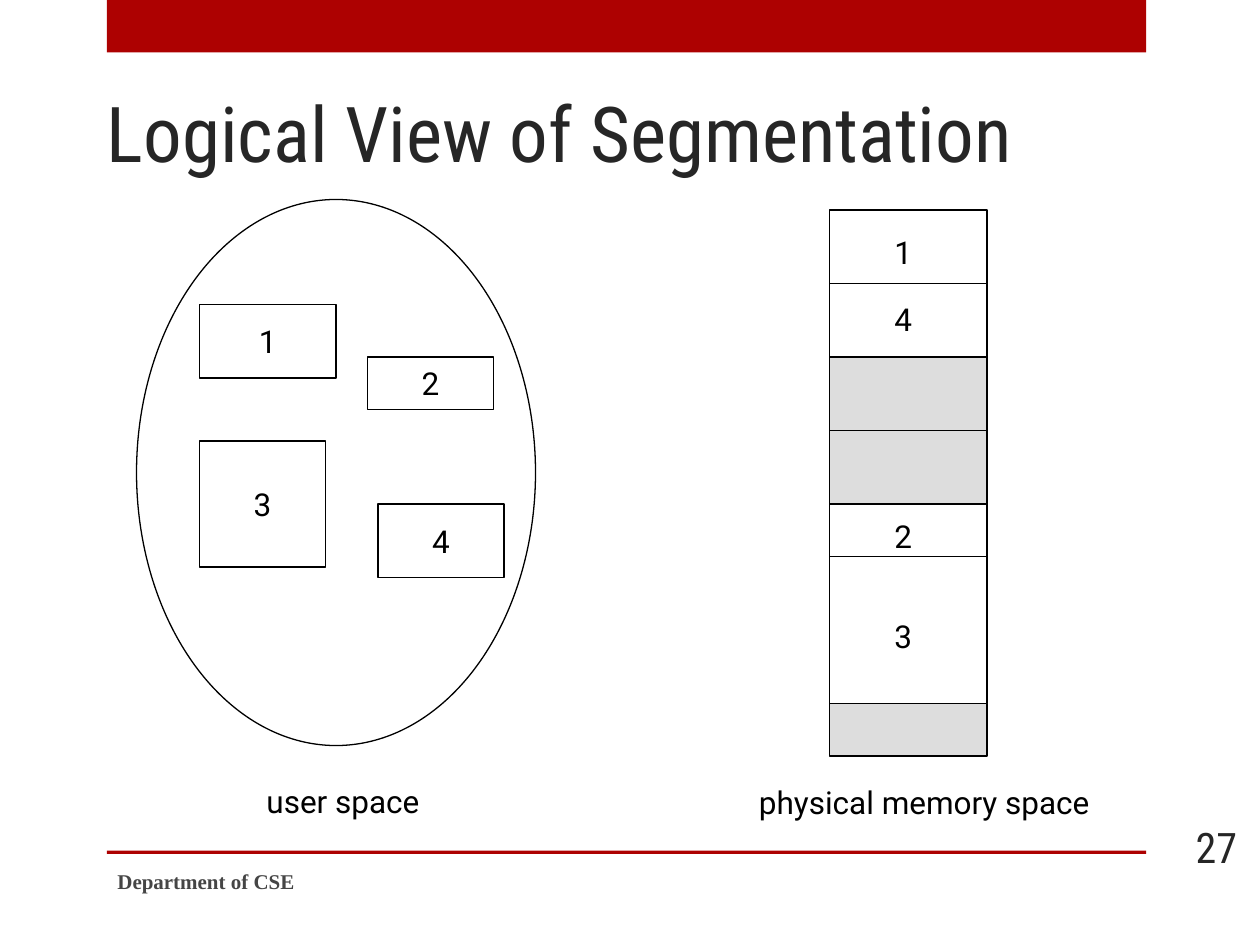
import pptx
import pptx.dml.color
import pptx.enum.shapes
import pptx.enum.text
import pptx.oxml
import pptx.util

Pt = pptx.util.Pt
SHAPE = pptx.enum.shapes.MSO_SHAPE
ANCHOR = pptx.enum.text.MSO_ANCHOR
ALIGN = pptx.enum.text.PP_ALIGN

RED, BLACK, WHITE, FREE, DARK, GREY = "AD0101", "000000", "FFFFFF", "DDDDDD", "262626", "454545"
BODY, HEADING, FOOTER = "Roboto", "Roboto Condensed", "Times New Roman"

# left, top, width, height
BARS = [(61, 0, 594, 30), (61, 486, 594, 2)]
USER_SPACE = (78, 114, 228, 312)
SEGMENTS = [
    ("2", (210, 204, 72, 30)),
    ("1", (114, 174, 78, 42)),
    ("3", (114, 252, 72, 72)),
    ("4", (216, 288, 72, 42)),
]

MEMORY_LEFT, MEMORY_TOP, MEMORY_WIDTH = 474, 120, 90
# height, colour, distance from block top to its divider (None for no divider)
MEMORY_BLOCKS = [(84, WHITE, 42), (84, FREE, 42), (114, WHITE, 30), (30, FREE, None)]
MEMORY_LABELS = [("1", 144), ("4", 182), ("2", 306), ("3", 363.5)]
MEMORY_LABEL_CENTER = 516

CAPTIONS = [("physical memory space", (426, 444, 204.5, 29)), ("user space ", (144, 443.5, 108.5, 29))]


def color(value):
    return pptx.dml.color.RGBColor.from_string(value)


def add_block(page, kind, bounds, fill, outline=BLACK):
    shape = page.shapes.add_shape(kind, *map(Pt, bounds))
    shape.shadow.inherit = False
    shape.fill.solid()
    shape.fill.fore_color.rgb = color(fill)
    if outline:
        shape.line.color.rgb = color(outline)
        shape.line.width = Pt(0.75)
    else:
        shape.line.fill.background()
    return shape


def write(shape, text, size=18, font=BODY, ink=BLACK, align=ALIGN.CENTER,
          anchor=ANCHOR.MIDDLE, wrap=False, bold=False):
    frame = shape.text_frame
    frame.word_wrap = wrap
    frame.vertical_anchor = anchor
    para = frame.paragraphs[0]
    para.alignment = align
    span = para.add_run()
    span.text = text
    span.font.size = Pt(size)
    span.font.name = font
    span.font.bold = bold
    span.font.color.rgb = color(ink)


def add_text(page, bounds, text, **style):
    write(page.shapes.add_textbox(*map(Pt, bounds)), text, **style)


def add_divider(page, block, y, joined):
    """Draw a line across a memory block, joined to its sides when at mid-height."""
    right = MEMORY_LEFT + MEMORY_WIDTH
    line = page.shapes.add_connector(
        pptx.enum.shapes.MSO_CONNECTOR.STRAIGHT, Pt(MEMORY_LEFT), Pt(y), Pt(right), Pt(y))
    line.line.color.rgb = color(BLACK)
    line.line.width = Pt(0.75)
    properties = line._element.spPr
    properties.append(pptx.oxml.parse_xml(
        '<a:effectLst xmlns:a="http://schemas.openxmlformats.org/drawingml/2006/main"/>'))
    if joined:
        line.begin_connect(block, 1)
        line.end_connect(block, 3)


def add_memory(page):
    top = MEMORY_TOP
    for height, fill, divider in MEMORY_BLOCKS:
        block = add_block(page, SHAPE.RECTANGLE, (MEMORY_LEFT, top, MEMORY_WIDTH, height), fill)
        if divider:
            add_divider(page, block, top + divider, divider * 2 == height)
        top += height
    width, height = 24, 29
    for text, middle in MEMORY_LABELS:
        add_text(page, (MEMORY_LABEL_CENTER - width / 2, middle - height / 2, width, height), text)


def main():
    deck = pptx.Presentation()
    deck.slide_width, deck.slide_height = Pt(720), Pt(540)
    page = deck.slides.add_slide(deck.slide_layouts[6])

    for bounds in BARS:
        add_block(page, SHAPE.RECTANGLE, bounds, RED, outline=None)
    add_block(page, SHAPE.OVAL, USER_SPACE, WHITE)
    add_text(page, (54, 48, 612, 57), "Logical View of Segmentation", size=44, font=HEADING,
             ink=DARK, align=ALIGN.LEFT, anchor=ANCHOR.BOTTOM, wrap=True)
    add_text(page, (654, 469.5, 60, 29), "27", size=24, font=HEADING, ink=DARK,
             align=ALIGN.RIGHT, wrap=True)
    add_text(page, (60, 489, 384, 29), "Department of CSE", size=12, font=FOOTER, ink=GREY,
             align=ALIGN.LEFT, wrap=True, bold=True)
    for text, bounds in SEGMENTS:
        write(add_block(page, SHAPE.RECTANGLE, bounds, WHITE), text)
    add_memory(page)
    for text, bounds in CAPTIONS:
        add_text(page, bounds, text, anchor=ANCHOR.TOP)

    deck.save("out.pptx")


if __name__ == "__main__":
    main()
